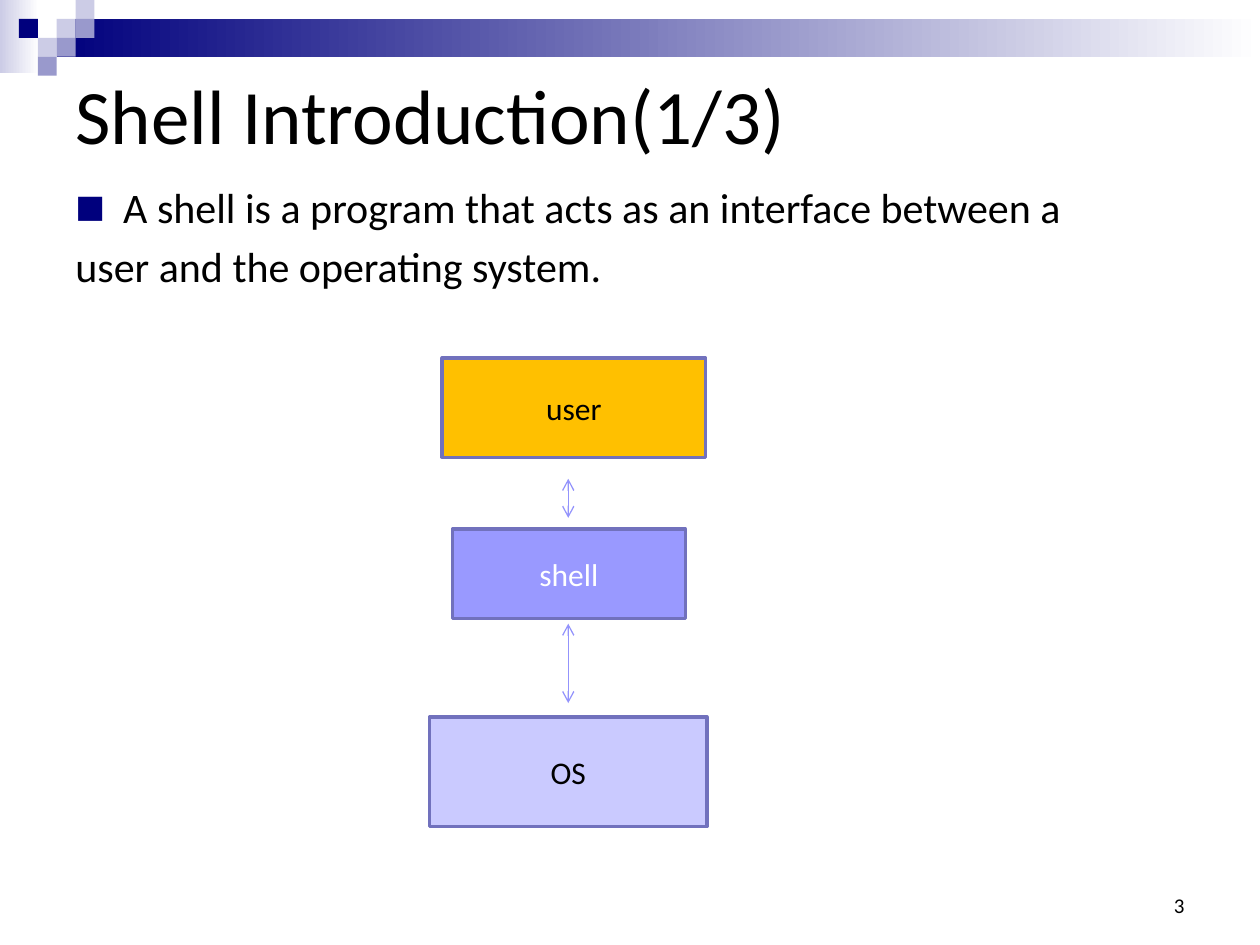
from typing import NamedTuple

import lxml.etree
import pptx
import pptx.dml.color
import pptx.enum.shapes
import pptx.enum.text
import pptx.oxml.ns
import pptx.util

Inches = pptx.util.Inches
Pt = pptx.util.Pt
ALIGN = pptx.enum.text.PP_ALIGN
ANCHOR = pptx.enum.text.MSO_ANCHOR
FONT = "Calibri"
NAVY, LAVENDER, PALE = "00007D", "9999CC", "CCCCE6"
BOX_LINE, ARROW_LINE = "7171BD", "9393FC"
TILE = 0.15


class Tile(NamedTuple):
    column: int
    row: int
    color: str


class Band(NamedTuple):
    left: float
    top: float
    width: float
    height: float
    start_color: str


class Layer(NamedTuple):
    label: str
    left: float
    top: float
    width: float
    height: float
    fill: str
    text_color: str


class Arrow(NamedTuple):
    x: float
    top: float
    bottom: float


BANDS = [Band(0, 0, 0.31, 0.58, PALE), Band(0.45, 0.15, 9.55, 0.3, NAVY)]
TILES = [
    Tile(3, 1, PALE), Tile(4, 0, PALE), Tile(4, 1, LAVENDER), Tile(2, 2, PALE),
    Tile(1, 1, NAVY), Tile(3, 2, LAVENDER), Tile(2, 3, LAVENDER),
]
LAYERS = [
    Layer("user", 3.51, 2.84, 2.09, 0.79, "FFC000", "000000"),
    Layer("shell", 3.59, 4.2, 1.85, 0.71, "9999FF", "FFFFFF"),
    Layer("OS", 3.41, 5.69, 2.2, 0.87, "CACAFF", "000000"),
]
ARROWS = [Arrow(4.51, 3.8, 4.11), Arrow(4.51, 4.95, 5.58)]


def rgb(color: str) -> pptx.dml.color.RGBColor:
    return pptx.dml.color.RGBColor.from_string(color)


def add_child(parent, tag: str, **attributes: str):
    return lxml.etree.SubElement(parent, pptx.oxml.ns.qn(tag), attributes)


def write(frame, text: str, *, size: float, color: str = "000000",
          align=ALIGN.LEFT, anchor=ANCHOR.TOP, space_before: float = 0) -> None:
    """Fill a text frame, one paragraph for each line of the text."""
    frame.word_wrap = True
    frame.vertical_anchor = anchor
    for index, line in enumerate(text.split("\n")):
        para = frame.add_paragraph() if index else frame.paragraphs[0]
        para.alignment = align
        para.space_before = Pt(space_before)
        span = para.add_run()
        span.text = line
        span.font.name = FONT
        span.font.size = Pt(size)
        span.font.color.rgb = rgb(color)


def add_text(page, left: float, top: float, width: float, height: float,
             text: str, **style):
    box = page.shapes.add_textbox(
        Inches(left), Inches(top), Inches(width), Inches(height))
    write(box.text_frame, text, **style)
    return box.text_frame


def add_bullet(para, color: str, indent: float) -> None:
    properties = para._p.get_or_add_pPr()
    properties.set("marL", str(Inches(indent)))
    properties.set("indent", str(-Inches(indent)))
    add_child(add_child(properties, "a:buClr"), "a:srgbClr", val=color)
    add_child(properties, "a:buSzPct", val="75000")
    add_child(properties, "a:buFont", typeface=FONT)
    add_child(properties, "a:buChar", char="■")


def add_rectangle(page, left: float, top: float, width: float, height: float):
    box = page.shapes.add_shape(
        pptx.enum.shapes.MSO_SHAPE.RECTANGLE,
        Inches(left), Inches(top), Inches(width), Inches(height))
    box.shadow.inherit = False
    box.line.fill.background()
    return box


def fill_solid(box, color: str) -> None:
    box.fill.solid()
    box.fill.fore_color.rgb = rgb(color)


def draw_band(page, band: Band) -> None:
    box = add_rectangle(page, band.left, band.top, band.width, band.height)
    box.fill.gradient()
    box.fill.gradient_angle = 0
    for stop, color in zip(box.fill.gradient_stops, (band.start_color, "FFFFFF")):
        stop.color.rgb = rgb(color)


def draw_tile(page, tile: Tile) -> None:
    box = add_rectangle(page, tile.column * TILE, tile.row * TILE, TILE, TILE)
    fill_solid(box, tile.color)


def draw_layer(page, layer: Layer) -> None:
    box = add_rectangle(page, layer.left, layer.top, layer.width, layer.height)
    fill_solid(box, layer.fill)
    box.line.color.rgb = rgb(BOX_LINE)
    box.line.width = Pt(2)
    write(box.text_frame, layer.label, size=18, color=layer.text_color,
          align=ALIGN.CENTER, anchor=ANCHOR.MIDDLE)


def draw_arrow(page, arrow: Arrow) -> None:
    connector = page.shapes.add_connector(
        pptx.enum.shapes.MSO_CONNECTOR.STRAIGHT,
        Inches(arrow.x), Inches(arrow.top), Inches(arrow.x), Inches(arrow.bottom))
    connector.line.color.rgb = rgb(ARROW_LINE)
    connector.line.width = Pt(0.75)
    outline = connector.line._get_or_add_ln()
    for end in ("a:headEnd", "a:tailEnd"):
        add_child(outline, end, type="arrow")
    add_child(connector._element.spPr, "a:effectLst")


def main() -> None:
    deck = pptx.Presentation()
    deck.slide_width, deck.slide_height = Inches(10), Inches(7.5)
    page = deck.slides.add_slide(deck.slide_layouts[6])

    # Header decoration
    for band in BANDS:
        draw_band(page, band)
    for tile in TILES:
        draw_tile(page, tile)

    # Title, body and page number
    add_text(page, 0.5, 0.5, 9, 0.81, "Shell Introduction(1/3)",
             size=44, anchor=ANCHOR.MIDDLE)
    body = add_text(page, 0.5, 1.39, 9, 5.03,
                    "A shell is a program that acts as an interface between a\n"
                    "user and the operating system.", size=24, space_before=4.8)
    add_bullet(body.paragraphs[0], NAVY, 0.38)
    add_text(page, 7.17, 6.83, 2.33, 0.5, "3",
             size=12, align=ALIGN.RIGHT, anchor=ANCHOR.BOTTOM)

    # Layer diagram
    for layer in LAYERS:
        draw_layer(page, layer)
    for arrow in ARROWS:
        draw_arrow(page, arrow)

    deck.save("out.pptx")


if __name__ == "__main__":
    main()
